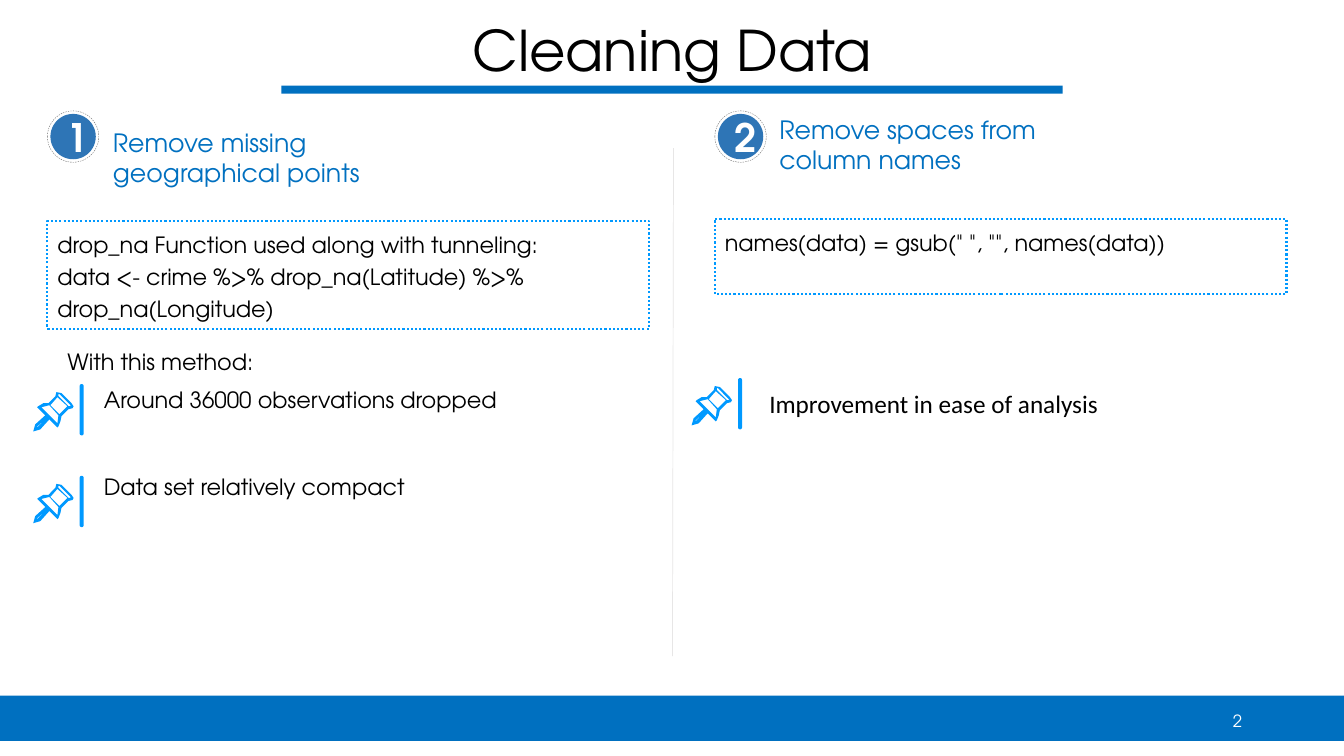
from lxml import etree
from pptx import Presentation, util as u
from pptx.dml.color import RGBColor
from pptx.enum import dml, shapes, text
from pptx.oxml.ns import qn

PX = 9144  # EMU in one px, 100 px to the inch
FONT = "TeX Gyre Adventor"
COLOURS = {
    "band": "0070C0", "accent": "0099FF", "badge": "2E75B6", "ring": "666666",
    "rule": "E7E6E6", "black": "000000", "white": "FFFFFF",
}
KINDS = shapes.MSO_SHAPE
ALIGN = text.PP_ALIGN
DASH = dml.MSO_LINE

# Outline of the pin followed by the holes in it
PIN = [
    [(28, 25), (35, 18), (39, 17), (40, 15), (38, 12), (28, 2), (23, 1),
     (22, 5), (15, 12), (10, 12), (5, 15), (4, 16), (12, 24), (2, 33),
     (0, 40), (7, 38), (16, 28), (24, 36), (25, 35), (27, 30)],
    [(26, 3), (37, 14), (37, 15), (35, 15), (25, 5), (25, 3)],
    [(26, 23), (17, 14), (24, 6), (34, 15)],
    [(5, 35), (4, 36), (4, 35), (14, 26)],
    [(18, 26), (8, 16), (16, 14), (25, 24), (24, 32)],
]


def tint(name):
    return RGBColor.from_string(COLOURS[name])


class Deck:
    """Holds the slide and the style of its elements."""

    def __init__(self, wide, high):
        self.prs = Presentation()
        self.prs.slide_width, self.prs.slide_height = wide * PX, high * PX
        layout = self.prs.slide_layouts.get_by_name("Comparison")
        self.slide = self.prs.slides.add_slide(layout)
        self.items = self.slide.shapes

    def letter(self, shape, words, size, colour="black", align=ALIGN.LEFT,
               font=FONT, bold=False, space=1.0, after=0,
               anchor=text.MSO_ANCHOR.TOP):
        """Set the words of a shape and format them."""
        frame = shape.text_frame
        frame.text = words
        frame.word_wrap = True
        frame.auto_size = text.MSO_AUTO_SIZE.NONE
        frame.vertical_anchor = anchor
        for para in frame.paragraphs:
            para.alignment, para.line_spacing = align, space
            para.space_before, para.space_after = u.Pt(0), u.Pt(after)
            for run in para.runs:
                run.font.name, run.font.size = font, u.Pt(size)
                run.font.bold = bold
                run.font.color.rgb = tint(colour)

    def holder(self, idx, box, words, size, **style):
        """Move a template placeholder and fill it with unbulleted text."""
        shape = self.slide.placeholders[idx]
        shape.left, shape.top, shape.width, shape.height = (n * PX for n in box)
        self.letter(shape, words, size, **style)
        for para in shape.text_frame.paragraphs:
            props = para._p.get_or_add_pPr()
            props.set("marL", "0")
            props.set("indent", "0")
            etree.SubElement(props, qn("a:buNone"))

    def label(self, box, words, size, **style):
        shape = self.items.add_textbox(*(n * PX for n in box))
        self.letter(shape, words, size, **style)

    def shape(self, kind, box, fill=None, line=None, width=1, dash=None):
        shape = self.items.add_shape(kind, *(n * PX for n in box))
        self.paint(shape, fill)
        if line:
            shape.line.color.rgb = tint(line)
            shape.line.width = u.Pt(width)
            shape.line.dash_style = dash
        return shape

    def paint(self, shape, fill):
        shape.shadow.inherit = False
        shape.line.fill.background()
        if fill:
            shape.fill.solid()
            shape.fill.fore_color.rgb = tint(fill)
        else:
            shape.fill.background()

    def code(self, box, words):
        shape = self.shape(KINDS.RECTANGLE, box, line="accent", width=1.5,
                           dash=DASH.ROUND_DOT)
        self.letter(shape, words, 16, space=1.2)

    def badge(self, left, top, words):
        disc = self.shape(KINDS.OVAL, (left + 3, top + 3, 45, 45), "badge")
        self.letter(disc, words, 28, "white", ALIGN.CENTER, bold=True,
                    anchor=text.MSO_ANCHOR.MIDDLE)
        self.shape(KINDS.OVAL, (left, top, 51, 51), line="ring", width=0.25,
                   dash=DASH.DASH)

    def pin(self, left, top):
        """Draw a push pin with an upright bar to its right."""
        loops = [[(left + x, top + 7 + y) for x, y in loop] for loop in PIN]
        form = self.items.build_freeform(*loops[0][0], scale=PX)
        form.add_line_segments(loops[0][1:])
        for loop in loops[1:]:
            form.move_to(*loop[0])
            form.add_line_segments(loop[1:])
        self.paint(form.convert_to_shape(), "accent")
        bar = self.shape(KINDS.ROUND_2_SAME_RECTANGLE,
                         (left + 46, top, 4, 51), "accent")
        bar.adjustments[0] = bar.adjustments[1] = 0.5

    def rule(self, ends, colour, width):
        line = self.items.add_connector(shapes.MSO_CONNECTOR.STRAIGHT,
                                        *(n * PX for n in ends))
        line.line.color.rgb = tint(colour)
        line.line.width = u.Pt(width)
        etree.SubElement(line._element.spPr, qn("a:effectLst"))


def main():
    deck = Deck(1333, 750)
    deck.shape(KINDS.RECTANGLE, (0, 690, 1333, 45), "band")
    deck.label((942, 695, 300, 40), "2", 12, colour="white",
               align=ALIGN.RIGHT, anchor=text.MSO_ANCHOR.MIDDLE)
    deck.holder(0, (272, 10, 790, 77), "Cleaning Data", 40,
                align=ALIGN.CENTER)
    deck.shape(KINDS.RECTANGLE, (279, 85, 775, 8), "band")
    deck.rule((668, 147, 667, 651), "rule", 0.5)

    deck.badge(47, 110, "1")
    deck.holder(1, (102, 121, 363, 71), "Remove missing geographical points",
                18, colour="band")
    deck.code((47, 219, 597, 107),
              "drop_na Function used along with tunneling:\n"
              "data <- crime %>% drop_na(Latitude) %>% drop_na(Longitude)")
    deck.label((57, 335, 207, 39), "With this method:", 16, space=1.2)
    deck.holder(2, (93, 373, 538, 128),
                "Around 36000 observations dropped\nData set relatively compact",
                16, space=1.2, after=39)

    deck.badge(709, 110, "2")
    deck.holder(3, (763, 108, 325, 71), "Remove spaces from column names",
                18, colour="band")
    deck.code((709, 217, 567, 75), 'names(data) = gsub(" ", "", names(data))')
    deck.holder(4, (753, 380, 561, 40), "Improvement in ease of analysis", 18,
                font="Calibri")

    for left, top in ((33, 381), (33, 472), (686, 375)):
        deck.pin(left, top)
    deck.prs.save("out.pptx")


if __name__ == "__main__":
    main()
